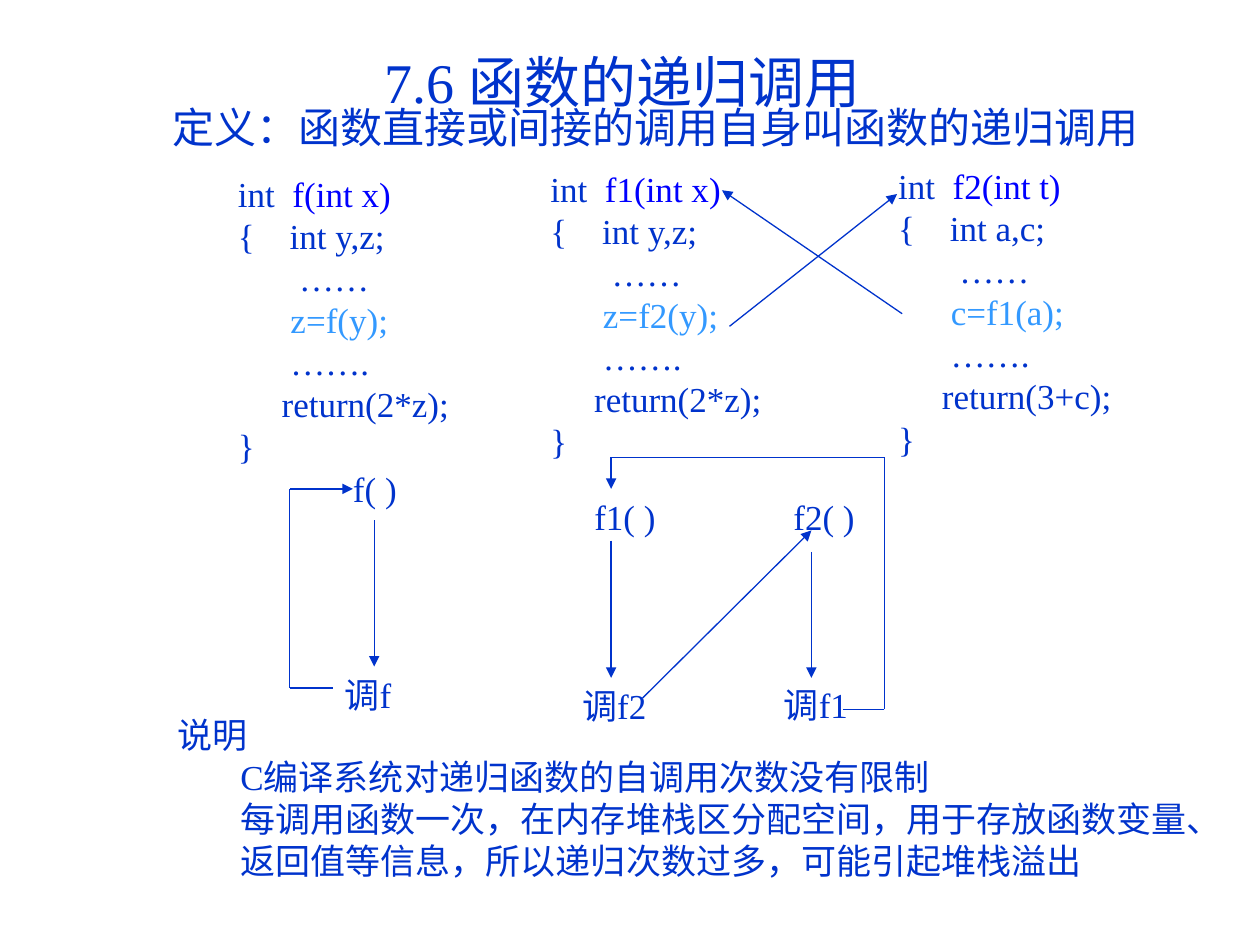
from dataclasses import dataclass
from typing import Any

from lxml import etree
from pptx import Presentation
from pptx.dml.color import RGBColor
from pptx.enum import shapes, text
from pptx.oxml import ns
from pptx.util import Inches, Pt

COLORS = {"main": "0033CC", "signature": "0000FF", "call": "3399FF"}


@dataclass
class RecursionSlide:
    """Draws text, code listings and call arrows in one style."""
    slide: Any
    font: str = "Times New Roman"
    size: int = 20
    line_width: float = 0.75
    tight_margin: float = 0.04

    def style(self, run, color="main", size=None):
        run.font.name = self.font
        run.font.size = Pt(size or self.size)
        run.font.color.rgb = RGBColor.from_string(COLORS[color])

    def frame(self, box, wrap=True, grow=False):
        frame = self.slide.shapes.add_textbox(*map(Inches, box)).text_frame
        frame.word_wrap = wrap
        if grow:
            frame.auto_size = text.MSO_AUTO_SIZE.SHAPE_TO_FIT_TEXT
        return frame

    def heading(self, box, words, size):
        frame = self.frame(box)
        frame.margin_top = Inches(0.1)
        frame.text = words
        frame.paragraphs[0].alignment = text.PP_ALIGN.CENTER
        self.style(frame.paragraphs[0].runs[0], size=size)

    def outline(self, box, entries, size=None):
        frame = self.frame(box)
        frame.text = "\n".join(words for _, words in entries)
        for paragraph, (indent, _) in zip(frame.paragraphs, entries):
            properties = paragraph._p.get_or_add_pPr()
            properties.set("marL", str(Inches(indent)))
            properties.set("indent", "0")
            self.style(paragraph.runs[0], size=size)

    def label(self, box, words, wrap=False):
        frame = self.frame(box, wrap, grow=True)
        if not wrap:
            frame.margin_left = frame.margin_right = Inches(self.tight_margin)
        frame.vertical_anchor = text.MSO_ANCHOR.MIDDLE
        frame.text = words
        frame.paragraphs[0].alignment = text.PP_ALIGN.CENTER
        self.style(frame.paragraphs[0].runs[0])

    def listing(self, box, signature, variables, call, result):
        lines = [
            [("int  ", "main"), (signature, "signature")],
            [("{    int " + variables + ";", "main")],
            [("       ……", "main")],
            [("      ", "main"), (call, "call")],
            [("      …….", "main")],
            [("     return(" + result + ");", "main")],
            [("}", "main")],
        ]
        frame = self.frame(box, wrap=False, grow=True)
        frame.margin_right = Inches(self.tight_margin)
        frame.text = "\n" * (len(lines) - 1)
        for paragraph, parts in zip(frame.paragraphs, lines):
            for words, color in parts:
                run = paragraph.add_run()
                run.text = words
                self.style(run, color)

    def arrow(self, *points):
        for start, end in zip(points, points[1:]):
            line = self.slide.shapes.add_connector(
                shapes.MSO_CONNECTOR.STRAIGHT, *map(Inches, start + end))
            line.line.width = Pt(self.line_width)
            line.line.color.rgb = RGBColor.from_string(COLORS["main"])
            etree.SubElement(line._element.spPr, ns.qn("a:effectLst"))
        etree.SubElement(line.line._get_or_add_ln(), ns.qn("a:tailEnd"), type="triangle")


def main():
    deck = Presentation()
    deck.slide_width, deck.slide_height = Inches(10), Inches(7.5)
    page = RecursionSlide(deck.slides.add_slide(deck.slide_layouts[6]))

    page.outline((0.27, 0.76, 9.33, 1.25),
                 [(1, "定义：函数直接或间接的调用自身叫函数的递归调用")], size=24)

    page.label((2.7, 3.66, 0.55, 0.44), "f( )")
    page.label((2.6, 5.29, 0.64, 0.44), "调f")
    page.arrow((2.97, 4.13), (2.97, 5.29))
    page.arrow((2.64, 5.46), (2.3, 5.46), (2.3, 3.88), (2.8, 3.88))

    page.label((4.49, 5.38, 0.77, 0.44), "调f2")
    page.label((6.1, 5.21, 0.75, 0.77), "调f1", wrap=True)
    page.label((4.62, 3.88, 0.68, 0.44), "f1( )")
    page.label((6.2, 3.88, 0.68, 0.44), "f2( )")
    page.arrow((4.85, 4.29), (4.85, 5.38))
    page.arrow((5.1, 5.54), (6.44, 4.21))
    page.arrow((6.44, 4.38), (6.44, 5.38))
    page.arrow((6.69, 5.63), (7.02, 5.63), (7.02, 3.63), (4.85, 3.63), (4.85, 3.88))

    page.outline((0.31, 5.61, 9.69, 1.89), [
        (1, "说明"),
        (1.5, "C编译系统对递归函数的自调用次数没有限制"),
        (1.5, "每调用函数一次，在内存堆栈区分配空间，用于存放函数变量、"
              "返回值等信息，所以递归次数过多，可能引起堆栈溢出"),
    ])

    page.listing((1.79, 1.32, 1.87, 2.44), "f(int x)", "y,z", "z=f(y);", "2*z")
    page.listing((4.27, 1.28, 1.87, 2.44), "f1(int x)", "y,z", "z=f2(y);", "2*z")
    page.listing((7.03, 1.26, 1.89, 2.44), "f2(int t)", "a,c", "c=f1(a);", "3+c")
    page.arrow((5.79, 2.59), (7.12, 1.54))
    page.arrow((7.16, 2.49), (5.73, 1.51))

    page.heading((0.27, 0.28, 9.34, 1.25), "7.6 函数的递归调用", size=32)
    deck.save("out.pptx")


if __name__ == "__main__":
    main()
